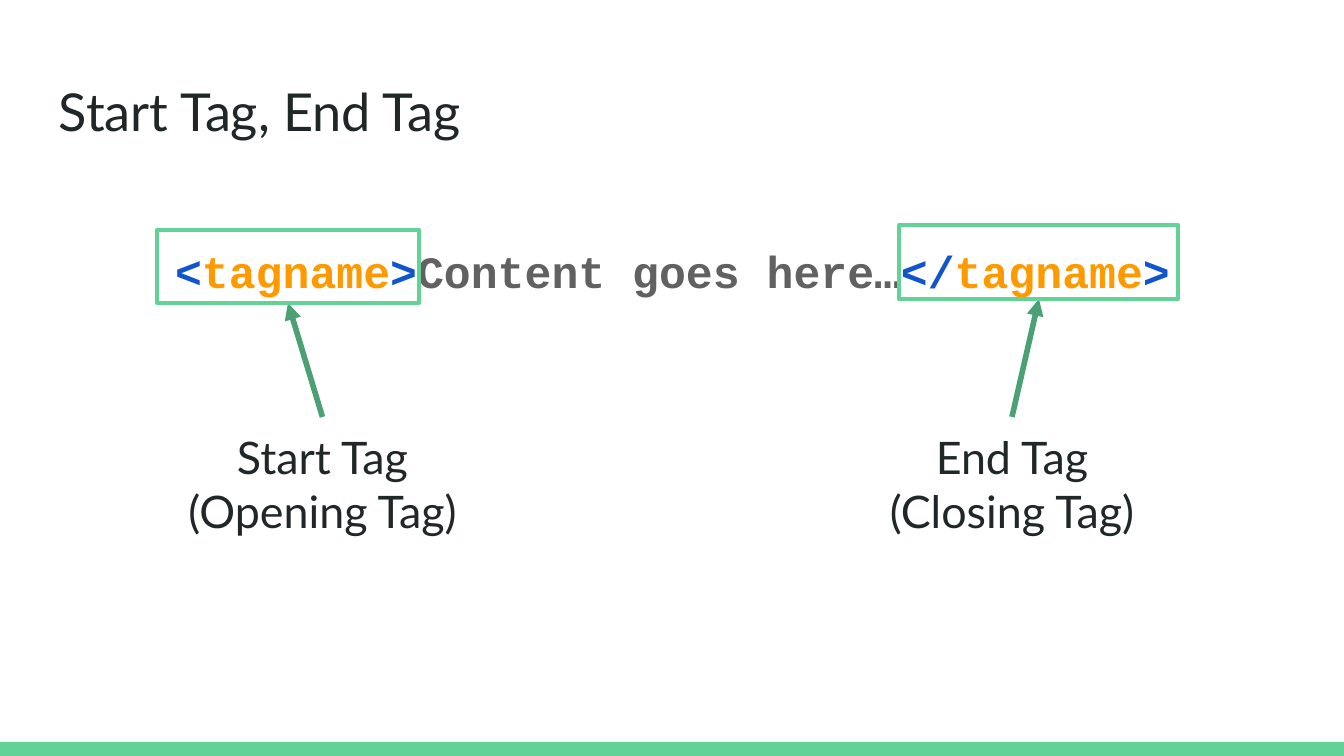
from dataclasses import dataclass

from lxml import etree
from pptx import Presentation
from pptx.dml.color import RGBColor
from pptx.enum.shapes import MSO_CONNECTOR, MSO_SHAPE
from pptx.enum.text import MSO_ANCHOR, PP_ALIGN
from pptx.oxml.ns import qn
from pptx.util import Pt

RECTANGLE = MSO_SHAPE.RECTANGLE
STRAIGHT = MSO_CONNECTOR.STRAIGHT
TOP = MSO_ANCHOR.TOP
LEFT, CENTER = PP_ALIGN.LEFT, PP_ALIGN.CENTER
EMU_PER_PIXEL = 914400 / 134.4
BLANK_LAYOUT = 6
WIDTH, HEIGHT = 1344, 756


@dataclass(frozen=True)
class Theme:
    """Colours, fonts and type sizes of the slide."""
    ink: str = "202729"
    green: str = "63D297"
    arrow: str = "4BA173"
    bracket: str = "1155CC"
    tag_name: str = "FF9900"
    content: str = "616161"
    text_font: str = "Lato"
    code_font: str = "Courier New"
    title_size: int = 28
    body_size: int = 24
    inset: int = 13
    frame_width: float = 2.25
    arrow_width: float = 3


def px(length):
    """Turn picture pixels into EMU."""
    return round(length * EMU_PER_PIXEL)


def rgb(value):
    """Turn a hex string into a colour."""
    return RGBColor.from_string(value)


def add_run(paragraph, text, *, font, size, color, bold=False):
    """Append one formatted run to a paragraph."""
    run = paragraph.add_run()
    run.text = text
    run.font.name = font
    run.font.size = Pt(size)
    run.font.bold = bold
    run.font.color.rgb = rgb(color)


class SlideBuilder:
    """Draws themed elements on the current slide."""

    def __init__(self, slide, theme):
        """Keep the slide and its style."""
        self.slide = slide
        self.theme = theme

    def text(self, box, lines, *, font, size, align=LEFT, bold=False, spacing=1.0):
        """Add a text box; each line is a list of (text, colour) parts."""
        frame = self.slide.shapes.add_textbox(*map(px, box)).text_frame
        frame.word_wrap = True
        frame.vertical_anchor = TOP
        frame.margin_left = frame.margin_right = px(self.theme.inset)
        frame.margin_top = frame.margin_bottom = px(self.theme.inset)
        for index, parts in enumerate(lines):
            paragraph = frame.add_paragraph() if index else frame.paragraphs[0]
            paragraph.alignment = align
            paragraph.line_spacing = spacing
            for text, color in parts:
                add_run(paragraph, text, font=font, size=size, color=color, bold=bold)

    def rectangle(self, box, *, fill=None, line=None):
        """Add a filled or outlined rectangle."""
        shape = self.slide.shapes.add_shape(RECTANGLE, *map(px, box))
        shape.shadow.inherit = False
        if fill:
            shape.fill.solid()
            shape.fill.fore_color.rgb = rgb(fill)
        else:
            shape.fill.background()
        if line:
            shape.line.color.rgb = rgb(line)
            shape.line.width = Pt(self.theme.frame_width)
        else:
            shape.line.fill.background()

    def arrow(self, start, end):
        """Add a straight arrow pointing at its end."""
        connector = self.slide.shapes.add_connector(
            STRAIGHT, *map(px, (*start, *end)))
        connector.line.color.rgb = rgb(self.theme.arrow)
        connector.line.width = Pt(self.theme.arrow_width)
        properties = connector._element.spPr
        etree.SubElement(properties.find(qn("a:ln")), qn("a:tailEnd"), type="triangle")
        etree.SubElement(properties, qn("a:effectLst"))

    def callout(self, label_box, lines, frame_box, arrow_tip):
        """Frame a tag and point at it from a label below."""
        left, top, width, _ = label_box
        self.arrow((left + width / 2, top), arrow_tip)
        self.text(label_box, [[(line, self.theme.ink)] for line in lines],
                  font=self.theme.text_font, size=self.theme.body_size, align=CENTER)
        self.rectangle(frame_box, line=self.theme.green)


def main():
    """Build and save the slide."""
    presentation = Presentation()
    presentation.slide_width, presentation.slide_height = px(WIDTH), px(HEIGHT)
    slide = presentation.slides.add_slide(presentation.slide_layouts[BLANK_LAYOUT])
    theme = Theme()
    builder = SlideBuilder(slide, theme)

    builder.rectangle((0, 742, WIDTH, 14), fill=theme.green)
    builder.text((46, 66, 1253, 85), [[("Start Tag, End Tag", theme.ink)]],
                 font=theme.text_font, size=theme.title_size)

    code = [
        ("<", theme.bracket), ("tagname", theme.tag_name), (">", theme.bracket),
        ("Content goes here…", theme.content),
        ("</", theme.bracket), ("tagname", theme.tag_name), (">", theme.bracket),
    ]
    builder.text((46, 223, 1253, 98), [code], font=theme.code_font,
                 size=theme.body_size, align=CENTER, bold=True, spacing=1.15)

    builder.callout((157, 417, 331, 161), ("Start Tag", "(Opening Tag)"),
                    (157, 230, 262, 73), (288, 303))
    builder.callout((862, 417, 300, 149), ("End Tag", "(Closing Tag)"),
                    (899, 225, 279, 74), (1039, 299))

    presentation.save("out.pptx")


main()
